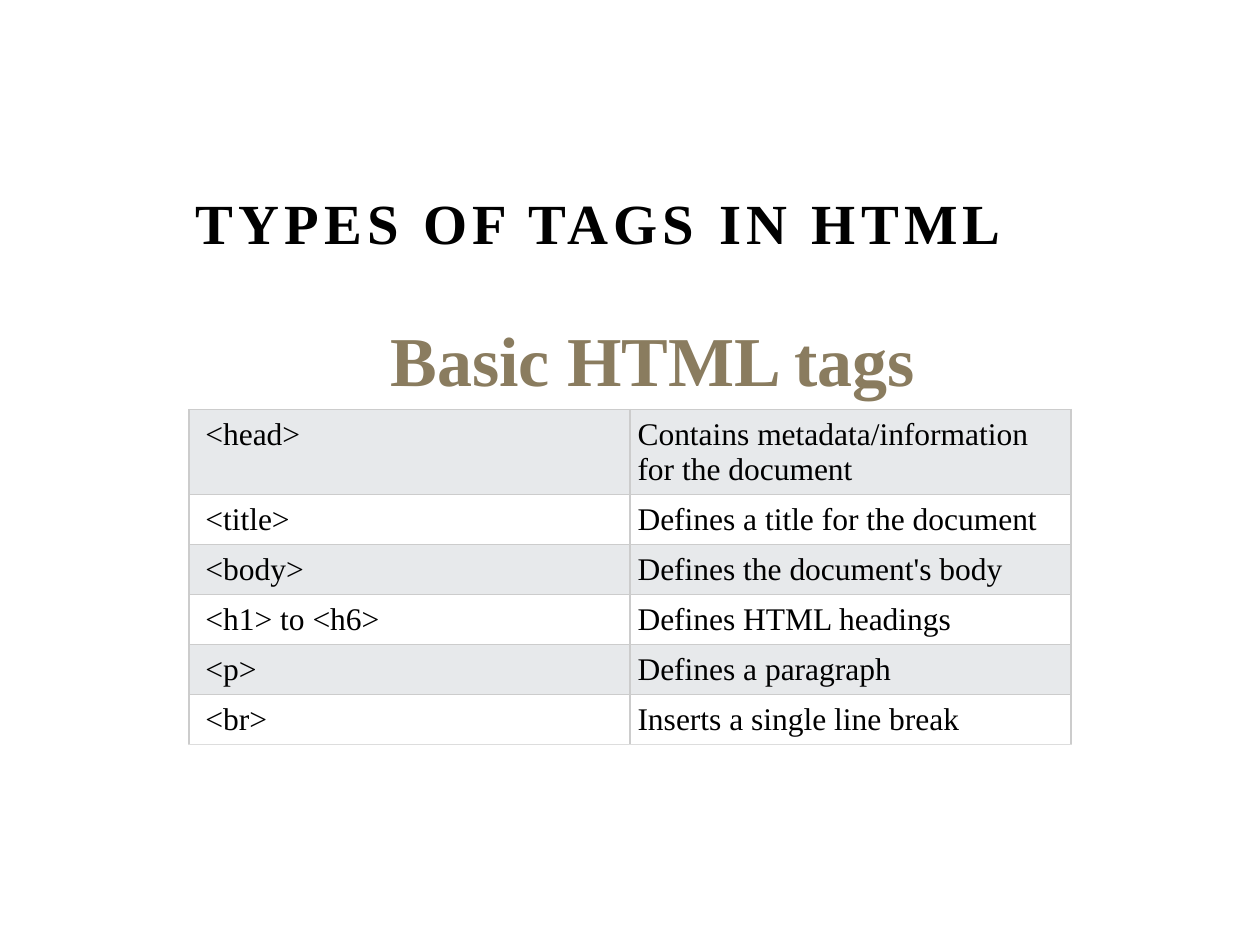
"""Build a slide that lists the basic HTML tags in a table."""
from typing import NamedTuple

from lxml.etree import SubElement
from pptx import Presentation
from pptx.dml.color import RGBColor
from pptx.enum.text import MSO_ANCHOR as Anchor, MSO_AUTO_SIZE as Fit, PP_ALIGN as Align
from pptx.oxml.ns import qn
from pptx.util import Inches, Pt

BLACK = RGBColor(0x00, 0x00, 0x00)
WHITE = RGBColor(0xFF, 0xFF, 0xFF)
BAND = RGBColor(0xE7, 0xE9, 0xEB)
TAN = RGBColor(0x8A, 0x7C, 0x5F)
RULE = RGBColor(0xCC, 0xCC, 0xCC)
PALE = RGBColor(0xDD, 0xDD, 0xDD)
FONT = "Times New Roman"
WIDE, HIGH = Inches(10), Inches(7.5)
COLS, ROWS = 40, 30


class Area(NamedTuple):
    """A place given in columns and rows of the slide grid."""
    col: float
    row: float
    cols: float
    rows: float

    def box(self) -> tuple:
        """Return left, top, width and height as lengths."""
        return (int(WIDE * self.col / COLS), int(HIGH * self.row / ROWS),
                int(WIDE * self.cols / COLS), int(HIGH * self.rows / ROWS))


class Tag(NamedTuple):
    """An HTML tag, its meaning and its row height in inches."""
    name: str
    use: str
    high: float = 0.36


TAGS = [
    Tag("<head>", "Contains metadata/information for the document", 0.64),
    Tag("<title>", "Defines a title for the document"),
    Tag("<body>", "Defines the document's body"),
    Tag("<h1> to <h6>", "Defines HTML headings"),
    Tag("<p>", "Defines a paragraph"),
    Tag("<br>", "Inserts a single line break"),
]


def write(frame, text: str, *, size: float = 18, color: RGBColor = BLACK,
          bold: bool = False, align=Align.LEFT, space: float = 0) -> None:
    """Put one formatted paragraph into a text frame."""
    para = frame.paragraphs[0]
    para.alignment = align
    run = para.add_run()
    run.text = text
    font = run.font
    font.name, font.size, font.bold = FONT, Pt(size), bold
    font.color.rgb = color
    if space:
        run._r.get_or_add_rPr().set("spc", str(int(space * 100)))


def edge(cell, side: str, color: RGBColor) -> None:
    """Draw one border of a cell."""
    line = SubElement(cell._tc.get_or_add_tcPr(), qn(f"a:ln{side}"), w=str(Pt(0.75)))
    fill = SubElement(line, qn("a:solidFill"))
    SubElement(fill, qn("a:srgbClr"), val=str(color))


def fill_cell(cell, text: str, left: float, fill: RGBColor, base: RGBColor) -> None:
    """Format a table cell and write its text."""
    cell.margin_left = Inches(left)
    cell.margin_right = cell.margin_top = cell.margin_bottom = Inches(0.06)
    for side in "LRTB":
        edge(cell, side, base if side == "B" else RULE)
    cell.fill.solid()
    cell.fill.fore_color.rgb = fill
    write(cell.text_frame, text)


def add_title(slide, area: Area) -> None:
    """Place the slide title."""
    title = slide.shapes.title
    title.left, title.top, title.width, title.height = area.box()
    frame = title.text_frame
    frame.auto_size = Fit.NONE
    frame.vertical_anchor = Anchor.BOTTOM
    write(frame, "TYPES OF TAGS IN HTML", size=32.4, bold=True,
          align=Align.CENTER, space=3)


def add_tags(slide, area: Area) -> None:
    """Place the table of tags."""
    table = slide.shapes.add_table(len(TAGS), 2, *area.box()).table
    table.first_row = table.horz_banding = False
    for i, tag in enumerate(TAGS):
        table.rows[i].height = Inches(tag.high)
        fill = WHITE if i % 2 else BAND
        base = PALE if tag is TAGS[-1] else RULE
        fill_cell(table.cell(i, 0), tag.name, 0.13, fill, base)
        fill_cell(table.cell(i, 1), tag.use, 0.06, fill, base)


def add_head(slide, area: Area) -> None:
    """Place the heading above the table."""
    frame = slide.shapes.add_textbox(*area.box()).text_frame
    frame.word_wrap = False
    frame.auto_size = Fit.SHAPE_TO_FIT_TEXT
    write(frame, "Basic HTML tags", size=40, color=TAN, bold=True, align=Align.CENTER)


def main() -> None:
    """Build and save the slide."""
    deck = Presentation()
    deck.slide_width, deck.slide_height = WIDE, HIGH
    slide = deck.slides.add_slide(deck.slide_layouts[5])
    add_title(slide, Area(5, 5.32, 28, 3))
    add_tags(slide, Area(6, 13, 28, 11.48))
    add_head(slide, Area(11.68, 9.84, 18.08, 3.08))
    deck.save("out.pptx")


if __name__ == "__main__":
    main()
